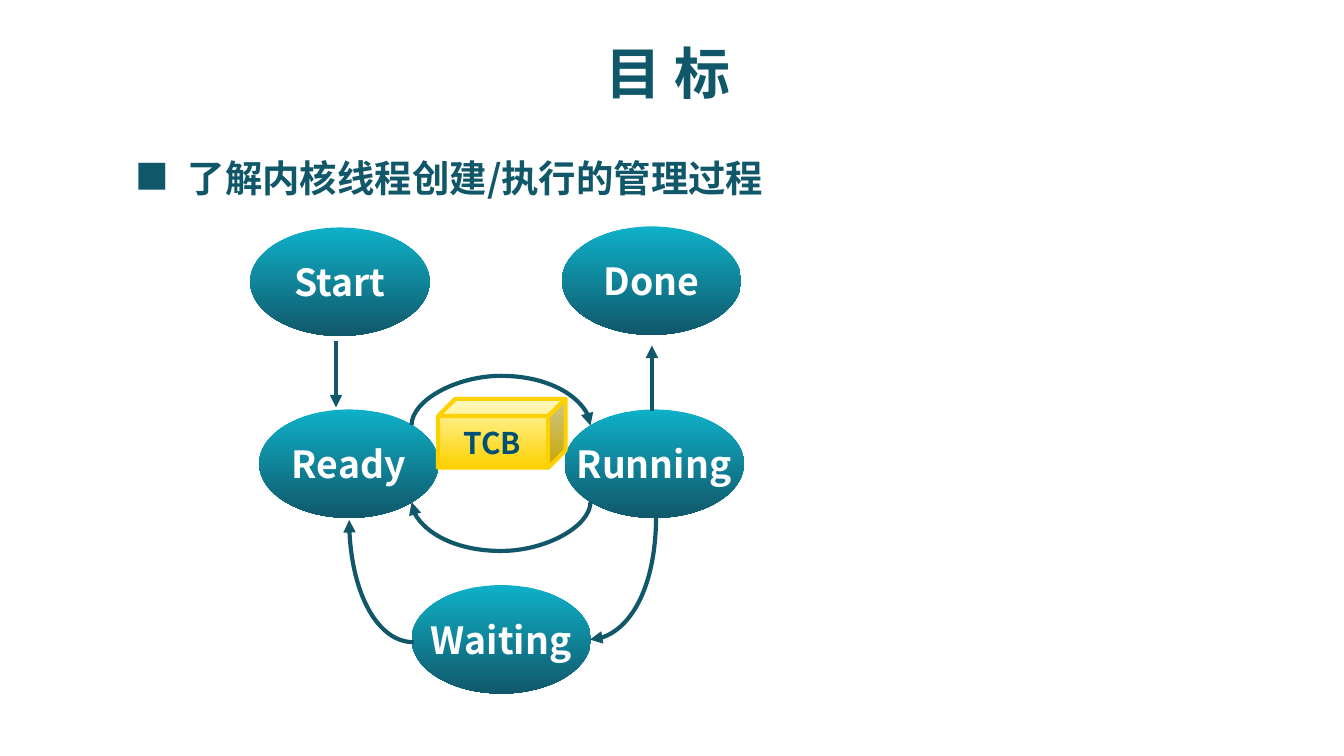
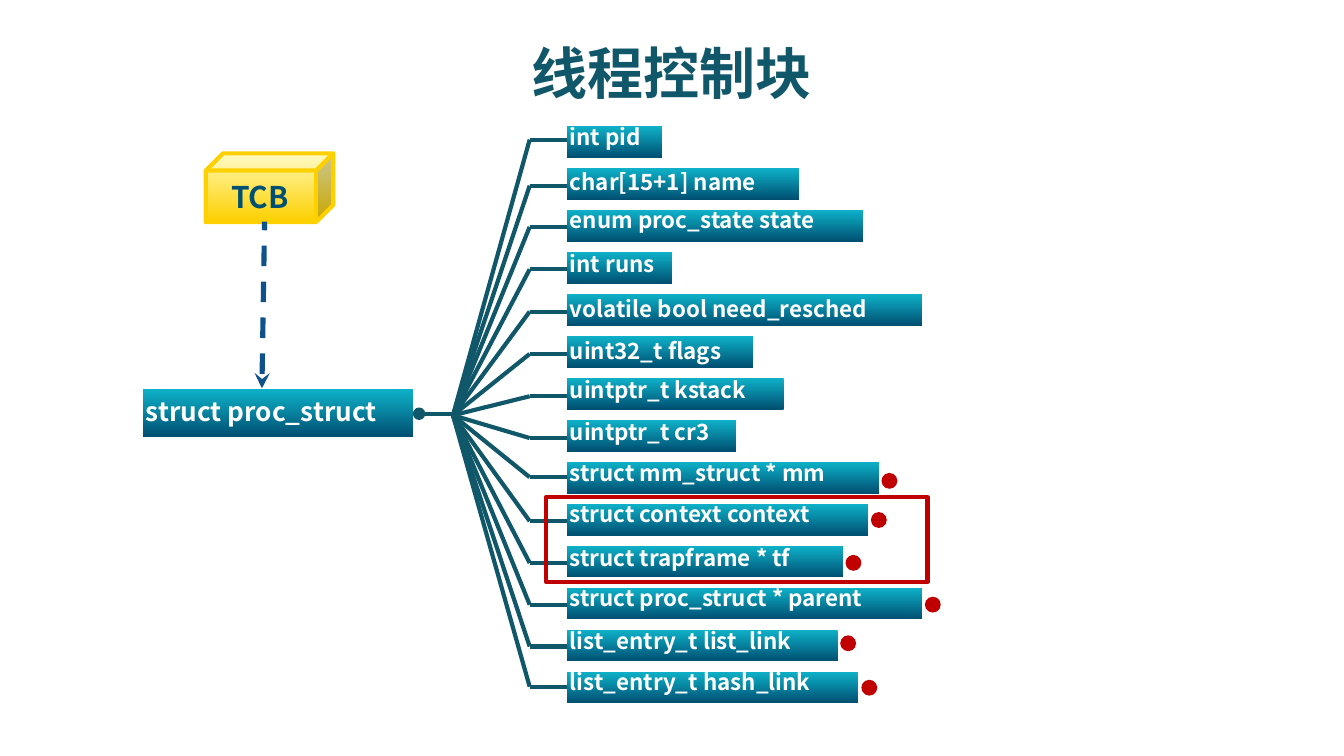
from lxml import etree
from pptx import Presentation
from pptx.dml.color import RGBColor
from pptx.enum import dml, shapes, text
from pptx.oxml.ns import qn
from pptx.util import Cm, Pt

TEAL = RGBColor(0x11, 0x57, 0x6A)
CYAN = RGBColor(0x0E, 0xB1, 0xC8)
NAVY = RGBColor(0x00, 0x50, 0x72)
BLUE = RGBColor(0x0F, 0x51, 0x8B)
CREAM = RGBColor(0xFF, 0xF9, 0xB1)
GOLD = RGBColor(0xFD, 0xD0, 0x00)
RED = RGBColor(0xC0, 0x00, 0x00)
WHITE = RGBColor(0xFF, 0xFF, 0xFF)
FONT = "Noto Sans CJK SC"
SQUARE_FONT = "Noto Sans CJK JP"
SHAPE = shapes.MSO_SHAPE
CONNECTOR = shapes.MSO_CONNECTOR


class Deck:
    """Holds the presentation, its style and the current slide."""

    def __init__(self):
        self.prs = Presentation()
        self.prs.slide_width, self.prs.slide_height = Cm(25.4), Cm(14.29)
        self.s = None

    def slide(self):
        self.s = self.prs.slides.add_slide(self.prs.slide_layouts[6])

    def style(self, p, size, color, font=FONT):
        p.font.size, p.font.bold, p.font.name = Pt(size), True, font
        p.font.color.rgb = color
        props = p._p.pPr.find(qn("a:defRPr"))
        etree.SubElement(props, qn("a:ea")).set("typeface", font)

    def label(self, words, x, y, w, h, size, color=TEAL, font=FONT, wrap=True):
        tf = self.s.shapes.add_textbox(Cm(x), Cm(y), Cm(w), Cm(h)).text_frame
        tf.word_wrap = wrap
        p = tf.paragraphs[0]
        p.text = words
        self.style(p, size, color, font)
        return p

    def title(self, words, x, w):
        p = self.label(words, x, 0.6, w, 1.52, 30)
        p.alignment = text.PP_ALIGN.CENTER

    def shape(self, kind, x, y, w, h, fill=None, line=None):
        """fill is None, one colour, or a (top, bottom) pair for a gradient."""
        sp = self.s.shapes.add_shape(kind, Cm(x), Cm(y), Cm(w), Cm(h))
        sp.shadow.inherit = False
        if fill is None:
            sp.fill.background()
        elif isinstance(fill, RGBColor):
            sp.fill.solid()
            sp.fill.fore_color.rgb = fill
        else:
            sp.fill.gradient()
            sp.fill.gradient_angle = 270
            for stop, color in zip(sp.fill.gradient_stops, fill):
                stop.color.rgb = color
        if line is None:
            sp.line.fill.background()
        else:
            sp.line.color.rgb, sp.line.width = line, Pt(2.25)
        return sp

    def state(self, name, x, y):
        sp = self.shape(SHAPE.OVAL, x, y, 3.39, 2.05, (CYAN, TEAL))
        tf = sp.text_frame
        tf.word_wrap = False
        tf.vertical_anchor = text.MSO_ANCHOR.MIDDLE
        p = tf.paragraphs[0]
        p.text, p.alignment = name, text.PP_ALIGN.CENTER
        self.style(p, 20, WHITE)

    def bar(self, x, y, w, h):
        return self.shape(SHAPE.RECTANGLE, x, y, w, h, (CYAN, NAVY))

    def tcb(self, x, y):
        self.shape(SHAPE.CUBE, x, y, 2.41, 1.3, (CREAM, GOLD), GOLD)
        self.label("TCB", x + 0.23, y + 0.36, 1.75, 0.94, 16, NAVY)

    def stroke(self, sp, color=TEAL, width=2.25, head=None, tail=None):
        sp.line.color.rgb, sp.line.width = color, Pt(width)
        ln = sp.line._get_or_add_ln()
        for tag, end in (("a:headEnd", head), ("a:tailEnd", tail)):
            if end:
                etree.SubElement(ln, qn(tag)).set("type", end)

    def line(self, start, end, kind=CONNECTOR.STRAIGHT, dash=None, **stroke):
        cn = self.s.shapes.add_connector(kind, *map(Cm, start + end))
        if dash:
            cn.line.dash_style = dash
        self.stroke(cn, **stroke)
        etree.SubElement(cn._element.spPr, qn("a:effectLst"))
        return cn

    def loop(self, x, y, span, bulge, flip=False):
        """Curved connector centred on x, y; bulge is down, or up if negative."""
        thin = 0.01
        cn = self.line((x - thin / 2, y - span / 2),
                       (x + thin / 2, y + span / 2),
                       CONNECTOR.CURVE, tail="triangle")
        xfrm = cn._element.spPr.find(qn("a:xfrm"))
        xfrm.set("rot", str(90 * 60000))
        if flip:
            xfrm.set("flipV", "1")
        geom = cn._element.spPr.find(qn("a:prstGeom"))
        guide = etree.SubElement(geom.find(qn("a:avLst")), qn("a:gd"))
        guide.set("name", "adj1")
        guide.set("fmla", f"val {round(bulge / thin * 100000)}")

    def arc(self, *points):
        """Arrow along one cubic Bézier: start, two controls, end."""
        emu = [(Cm(x), Cm(y)) for x, y in points]
        outline = self.s.shapes.build_freeform(*emu[0])
        outline.add_line_segments(emu[3:], close=False)
        sp = outline.convert_to_shape()
        sp.shadow.inherit = False
        sp.fill.background()
        self.stroke(sp, tail="triangle")
        segment = next(sp._element.iter(qn("a:lnTo")))
        bezier = etree.SubElement(segment.getparent(), qn("a:cubicBezTo"))
        for x, y in emu[1:]:
            pt = etree.SubElement(bezier, qn("a:pt"))
            pt.set("x", str(x - sp.left))
            pt.set("y", str(y - sp.top))
        segment.getparent().remove(segment)


def goal_slide(d):
    d.slide()
    p = d.label("了解内核线程创建/执行的管理过程", 3.3, 2.97, 11.79, 0.94, 20)
    p.line_spacing = 0.8
    p._p.pPr.set("marL", str(Cm(0.97)))
    p._p.pPr.set("indent", str(-Cm(0.97)))
    d.label("■", 2.31, 2.82, 1.14, 1.02, 18, font=SQUARE_FONT, wrap=False)
    d.title("目 标", 10.83, 3.58)

    # Thread states
    for name, x, y in (("Running", 10.67, 7.74), ("Ready", 4.9, 7.74),
                       ("Waiting", 7.78, 11.06), ("Start", 4.73, 4.3),
                       ("Done", 10.62, 4.28)):
        d.state(name, x, y)

    # Start to Ready, Running to Done
    d.line((6.35, 6.45), (6.35, 7.7), tail="triangle")
    d.line((12.32, 7.77), (12.32, 6.53), tail="triangle")
    # Running to Waiting, Waiting to Ready
    d.arc((12.4, 9.75), (12.4, 11.05), (11.84, 12.09), (11.15, 12.09))
    d.arc((7.82, 12.14), (7.14, 12.14), (6.6, 11.13), (6.6, 9.83))
    # Ready to Running and back
    d.loop(9.47, 8.04, 3.38, -0.93, flip=True)
    d.loop(9.47, 9.49, 3.38, 0.93)
    d.tcb(8.28, 7.54)


FIELDS = (  # declaration, bar width, top of the text, height of the branch
    ("int pid", 1.8, 2.21, 2.64),
    ("char[15+1] name", 4.39, 3.05, 3.51),
    ("enum proc_state state", 5.59, 3.78, 4.29),
    ("int runs", 1.98, 4.6, 5.09),
    ("volatile bool need_resched", 6.71, 5.46, 5.89),
    ("uint32_t flags", 3.51, 6.25, 6.69),
    ("uintptr_t kstack", 4.09, 6.99, 7.49),
    ("uintptr_t cr3", 3.2, 7.77, 8.28),
    ("struct mm_struct * mm", 5.89, 8.56, 9.02),
    ("struct context context", 5.69, 9.32, 9.85),
    ("struct trapframe * tf", 5.21, 10.16, 10.64),
    ("struct proc_struct * parent", 6.71, 10.92, 11.43),
    ("list_entry_t list_link", 5.11, 11.73, 12.22),
    ("list_entry_t hash_link", 5.49, 12.5, 12.98),
)
DOTS = ((16.66, 8.94), (16.46, 9.68), (15.98, 10.49),
        (17.48, 11.28), (15.88, 12.01), (16.28, 12.85))


def control_block_slide(d):
    d.slide()
    left, top, bottom = 10.72, 2.39, 12.7
    pitch = (bottom - top) / (len(FIELDS) - 1)
    hub, bend = (8.56, 7.85), 10.01

    # Structure name and stem
    d.bar(2.7, 7.36, 5.11, 0.9)
    d.label("struct proc_struct", 2.51, 7.34, 5.41, 0.89, 14, WHITE, wrap=False)
    d.line((7.92, 7.82), (8.58, 7.82), head="oval")

    # Fields, each with its branch from the hub
    for i, (field, width, text_top, branch) in enumerate(FIELDS):
        d.bar(left, top + i * pitch, width, 0.59)
        d.label(field, left - 0.2, text_top, width + 0.2, 0.79, 12, WHITE,
                wrap=False)
        d.line((left, branch), (bend, branch))
        d.line(hub, (bend, branch))

    # Highlighted fields
    d.shape(SHAPE.RECTANGLE, 10.32, 9.4, 7.21, 1.6, line=RED)
    d.title("线程控制块", 0, 25.4)
    for x, y in DOTS:
        d.shape(SHAPE.OVAL, x, y, 0.3, 0.3, RED)
    d.tcb(3.89, 2.9)
    d.line((4.95, 7.34), (5, 4.19), dash=dml.MSO_LINE.DASH,
           color=BLUE, width=2.75, head="stealth")


def main():
    d = Deck()
    goal_slide(d)
    control_block_slide(d)
    d.prs.save("out.pptx")


if __name__ == "__main__":
    main()
